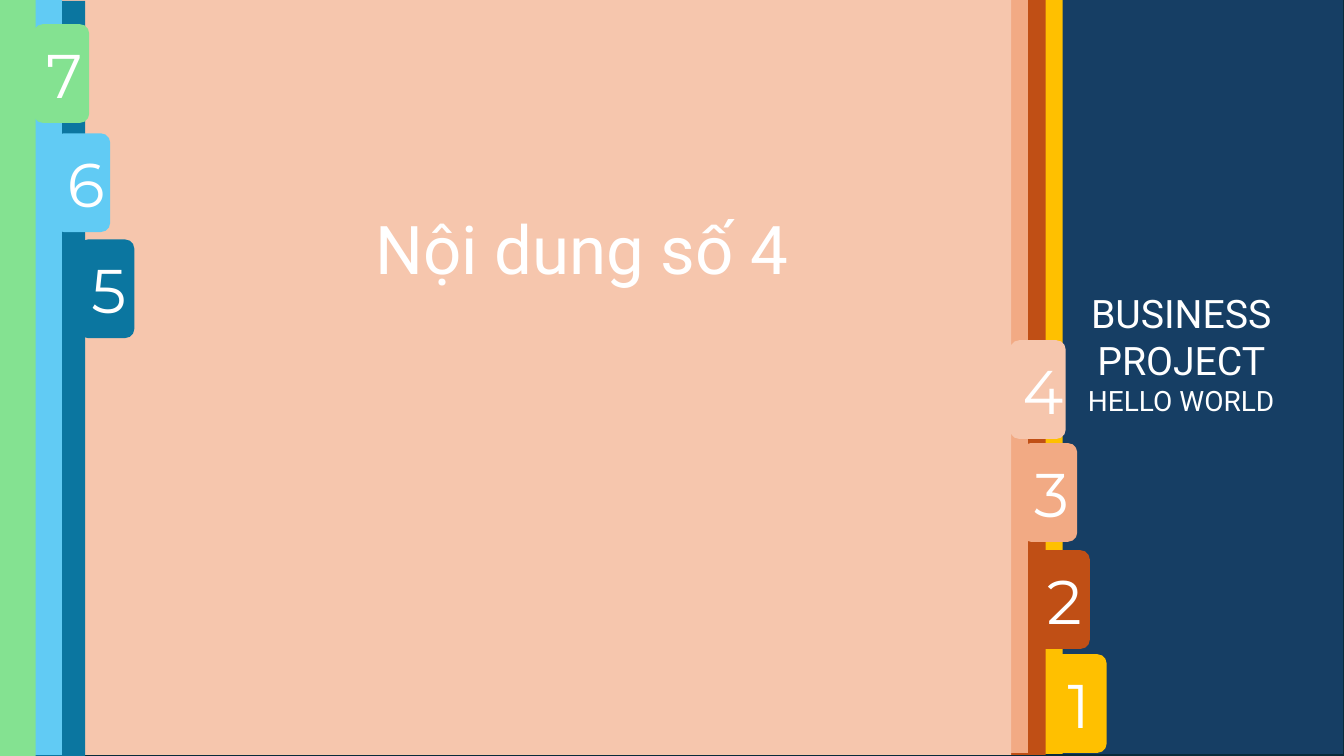
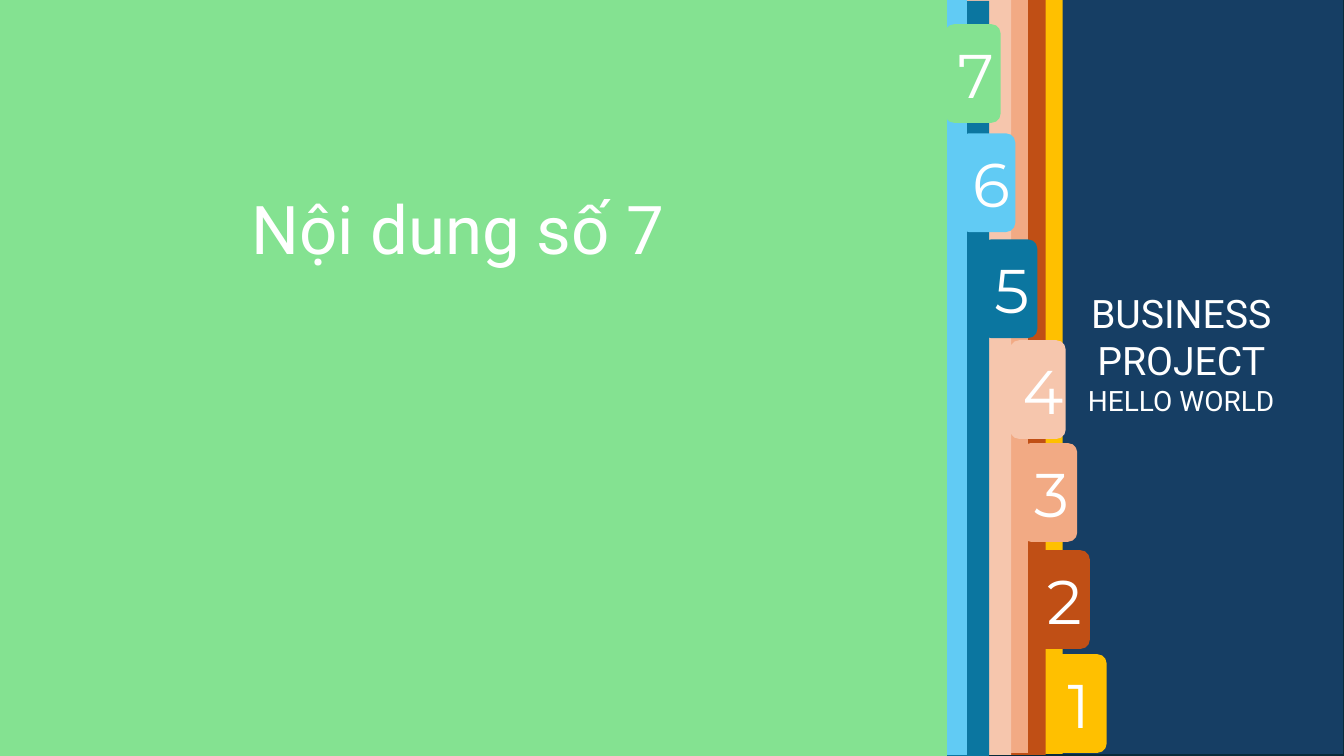
from pptx import Presentation
from pptx.dml.color import RGBColor as Rgb
from pptx.enum.shapes import MSO_SHAPE as Kind
from pptx.enum.text import MSO_ANCHOR as Anchor, MSO_AUTO_SIZE as Fit, PP_ALIGN as Align
from pptx.util import Emu, Pt

PX = 9525
WIDE, HIGH = 1280, 720
PAGE_W = 1004
TAB_W, TAB_H = 53, 94

HUES = {
    "base": "163E64", "edge": "092A39", "text": "FFFFFF",
    1: "FFC000", 2: "C04F15", 3: "F2AA84", 4: "F6C6AD",
    5: "0B76A0", 6: "61CBF4", 7: "84E291",
}
# Page number: page top, tab top
TOPS = {1: (-2, 623), 2: (-1, 524), 3: (-3, 422), 4: (-1, 324),
        5: (1, 228), 6: (-1, 127), 7: (0, 23)}
# Page number: page left, tab left
SHUT = {1: (8, 1001), 2: (-8, 985), 3: (-25, 973), 4: (-41, 962),
        5: (-62, 935), 6: (-83, 914), 7: (-102, 900)}
OPEN = {5: (-923, 75), 6: (-945, 52), 7: (-970, 32)}

# Title, title left and top, page lefts
SLIDES = [
    ("Nội dung số 4", 254, 193, {**SHUT, **OPEN}),
    ("Nội dung số 7", 136, 174, SHUT),
]


def px(*nums):
    return [Emu(num * PX) for num in nums]


def rgb(hue):
    return Rgb.from_string(HUES[hue])


def write(shape, *lines, font="Roboto", anchor=Anchor.TOP, fit=Fit.SHAPE_TO_FIT_TEXT):
    """Fill a shape with centred lines, each a pair of text and point size."""
    frame = shape.text_frame
    frame.word_wrap = True
    frame.auto_size = fit
    frame.vertical_anchor = anchor
    for num, (text, size) in enumerate(lines):
        para = frame.add_paragraph() if num else frame.paragraphs[0]
        para.alignment = Align.CENTER
        para.line_spacing = 1.0
        run = para.add_run()
        run.text = text
        run.font.name = font
        run.font.size = Pt(size)
        run.font.color.rgb = rgb("text")


def block(shapes, box, hue, kind=Kind.RECTANGLE, edge=None):
    shape = shapes.add_shape(kind, *px(*box))
    shape.shadow.inherit = False
    shape.fill.solid()
    shape.fill.fore_color.rgb = rgb(hue)
    if edge:
        shape.line.color.rgb = rgb(edge)
        shape.line.width = Pt(1.5)
    else:
        shape.line.fill.background()
    return shape


def page(slide, num, left, tab_left):
    """Add a coloured page grouped with its numbered tab."""
    top, tab_top = TOPS[num]
    group = slide.shapes.add_group_shape().shapes
    block(group, (left, top, PAGE_W, HIGH), num)
    tab = block(group, (tab_left, tab_top, TAB_W, TAB_H), num, Kind.ROUNDED_RECTANGLE)
    write(tab, (str(num), 44), font="Montserrat", anchor=Anchor.MIDDLE, fit=Fit.NONE)


def cover(slide):
    """Add the project name on the right-hand cover."""
    name = slide.shapes.add_textbox(*px(1010, 271, 230, 178))
    write(name, ("BUSINESS PROJECT", 28), ("HELLO WORLD", 20))


def head(slide, text, left, top):
    """Place the title in front of the pages."""
    title = slide.shapes.title
    title.left, title.top, title.width, title.height = px(left, top, 600, 87)
    write(title, (text, 48))
    slide.shapes.element.append(title.element)


def build(deck, text, left, top, lefts):
    slide = deck.slides.add_slide(deck.slide_layouts.get_by_name("Title Only"))
    block(slide.shapes, (0, -1, WIDE, HIGH), "base", edge="edge")
    for num, spots in lefts.items():
        page(slide, num, *spots)
    cover(slide)
    head(slide, text, left, top)


def main():
    deck = Presentation()
    deck.slide_width, deck.slide_height = px(WIDE, HIGH)
    for item in SLIDES:
        build(deck, *item)
    deck.save("out.pptx")


if __name__ == "__main__":
    main()
